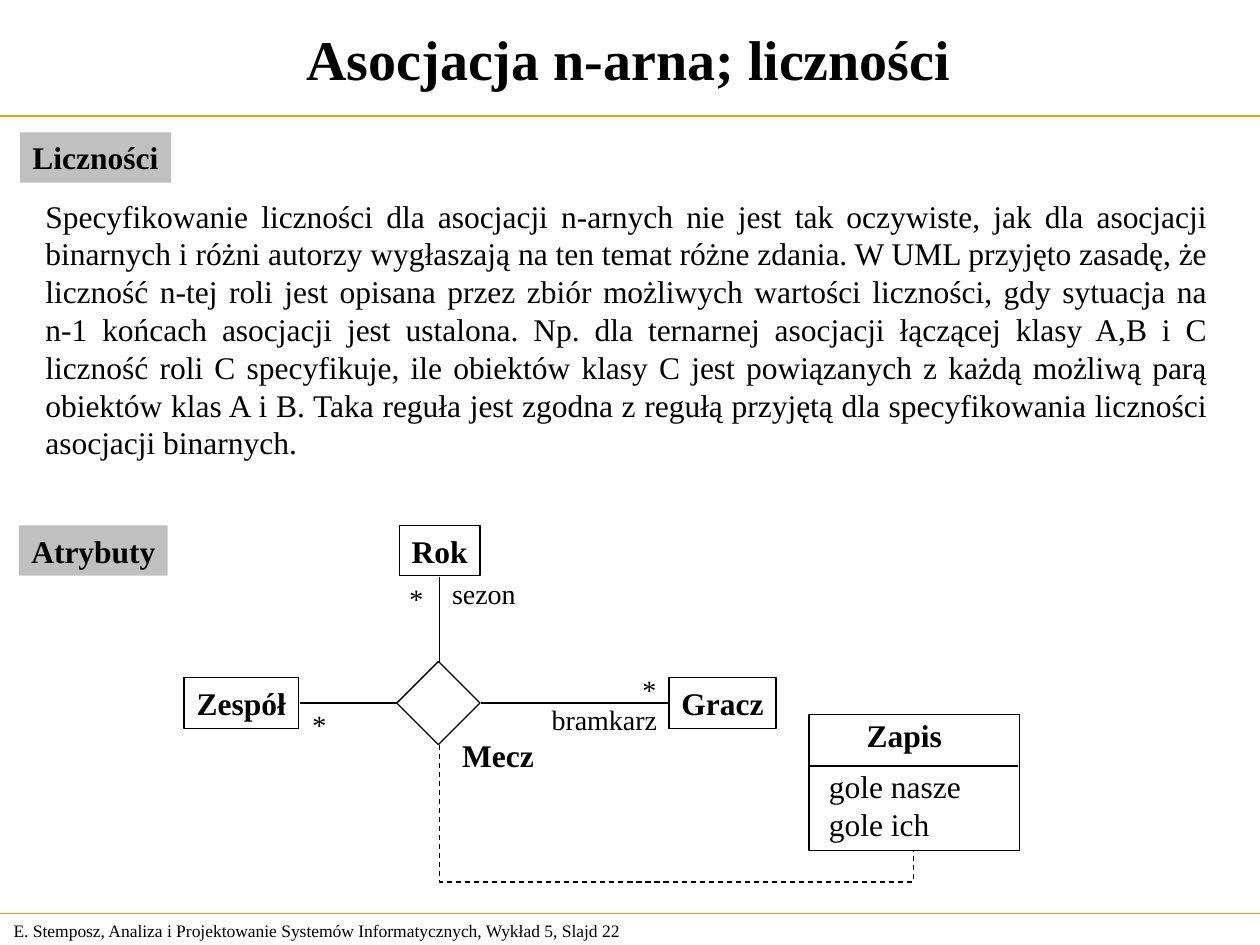
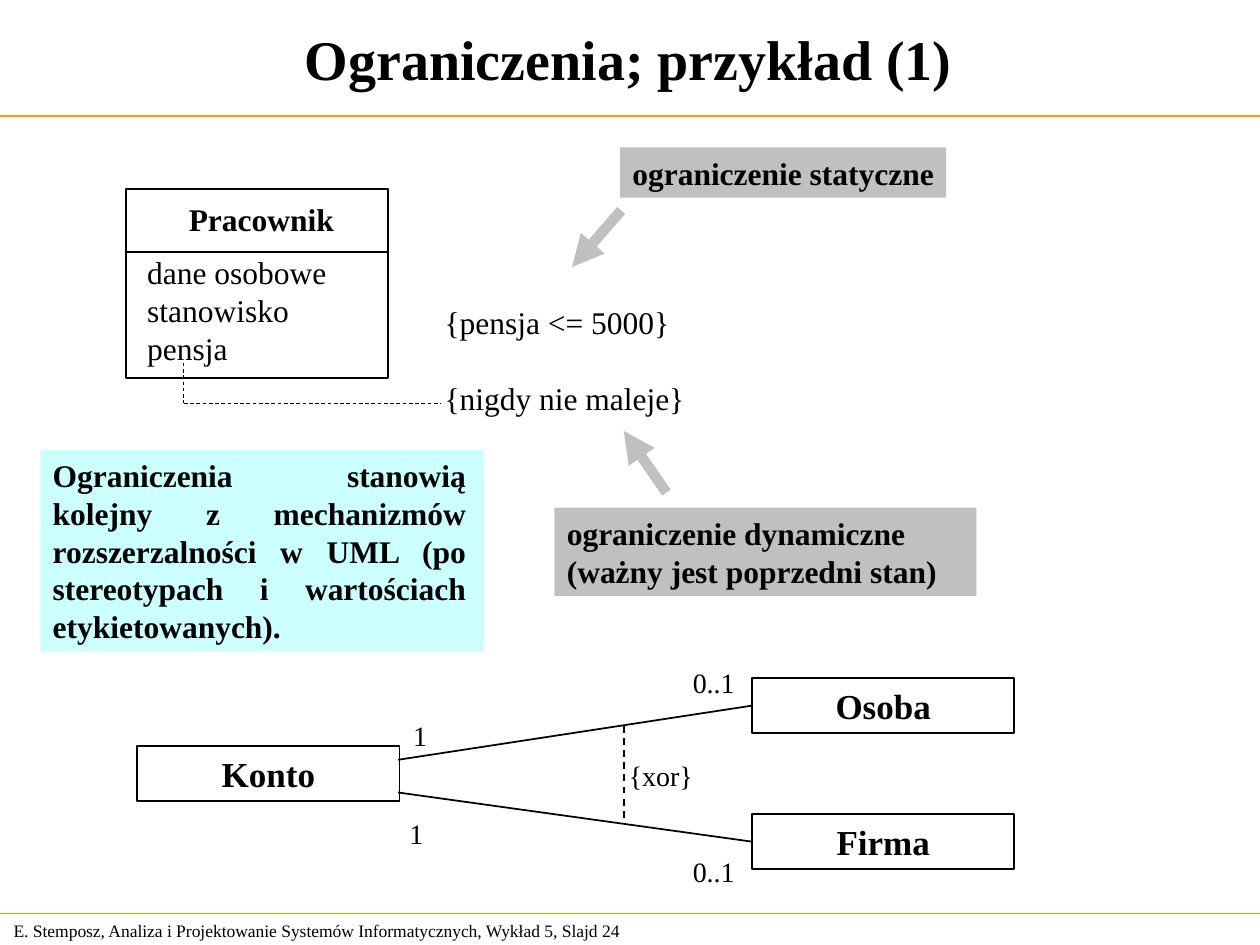
from pptx import Presentation
from pptx.dml.color import RGBColor
from pptx.enum.dml import MSO_LINE
from pptx.enum.shapes import MSO_CONNECTOR, MSO_SHAPE
from pptx.enum.text import MSO_ANCHOR, MSO_AUTO_SIZE, PP_ALIGN
from pptx.oxml.ns import qn
from pptx.util import Inches, Pt
from lxml.etree import SubElement

BLACK = RGBColor(0x00, 0x00, 0x00)
ORANGE = RGBColor(0xFF, 0x99, 0x00)
GRAY = RGBColor(0xC0, 0xC0, 0xC0)
CYAN = RGBColor(0xCC, 0xFF, 0xFF)
FONT = "Times New Roman"
FOOTER = "E. Stemposz, Analiza i Projektowanie Systemów Informatycznych, Wykład 5, Slajd {}"
TITLE_ONLY, TITLE_AND_BODY = 5, 1


def write(sp, text, size=18, bold=False, align=PP_ALIGN.LEFT, anchor=MSO_ANCHOR.TOP,
          left=0.1, right=0, gap=0):
    tf = sp.text_frame
    tf.word_wrap = True
    tf.auto_size = MSO_AUTO_SIZE.NONE
    tf.vertical_anchor = anchor
    tf.margin_left, tf.margin_right = Inches(left), Inches(right)
    tf.margin_top = tf.margin_bottom = Inches(0.05)
    for i, line in enumerate(text.split("\n")):
        p = tf.add_paragraph() if i else tf.paragraphs[0]
        p.alignment = align
        p.space_before = Pt(gap if i else 0)
        r = p.add_run()
        r.text = line
        r.font.name, r.font.size, r.font.bold = FONT, Pt(size), bold
        r.font.color.rgb = BLACK


class Deck:
    """Lecture slides with UML diagrams in one shared style."""

    def __init__(self):
        self.prs = Presentation()
        self.prs.slide_width, self.prs.slide_height = Inches(10), Inches(7.5)
        self.s = None

    def slide(self, title, number, layout=TITLE_ONLY):
        self.s = self.prs.slides.add_slide(self.prs.slide_layouts[layout])
        for y in (0.92, 7.25):
            self.line(0, y, 10, y, color=ORANGE)
        self.text(FOOTER.format(number), 0.01, 7.25, 5.24, 0.27, size=10,
                  anchor=MSO_ANCHOR.MIDDLE)
        self.placeholder(self.s.shapes.title, title, 0, 0, 9.98, 0.92, size=32, bold=True,
                         align=PP_ALIGN.CENTER, anchor=MSO_ANCHOR.MIDDLE, right=0.1)

    def placeholder(self, sp, text, x, y, w, h, **fmt):
        sp.left, sp.top, sp.width, sp.height = map(Inches, (x, y, w, h))
        write(sp, text, **fmt)

    def body(self, text, x, y, w, h, **fmt):
        sp = self.s.placeholders[1]
        self.placeholder(sp, text, x, y, w, h, **fmt)
        for p in sp.text_frame.paragraphs:
            pPr = p._p.get_or_add_pPr()
            pPr.set("marL", "0")
            pPr.set("indent", "0")
            SubElement(pPr, qn("a:buNone"))

    def text(self, text, x, y, w, h=0.37, **fmt):
        write(self.s.shapes.add_textbox(*map(Inches, (x, y, w, h))), text, **fmt)

    def shape(self, x, y, w, h, text="", kind=MSO_SHAPE.RECTANGLE, fill=None, weight=0.75, **fmt):
        sp = self.s.shapes.add_shape(kind, *map(Inches, (x, y, w, h)))
        sp.shadow.inherit = False
        if fill is None:
            sp.fill.background()
            sp.line.color.rgb, sp.line.width = BLACK, Pt(weight)
        else:
            sp.fill.solid()
            sp.fill.fore_color.rgb = fill
            sp.line.fill.background()
        if text:
            write(sp, text, bold=True, **fmt)

    def label(self, text, x, y, w, h=0.4, fill=GRAY, **fmt):
        self.shape(x, y, w, h, text, fill=fill, **fmt)

    def class_box(self, text, x, y, w, h=0.4, **fmt):
        self.shape(x, y, w, h, text, align=PP_ALIGN.CENTER, left=0, **fmt)

    def line(self, x1, y1, x2, y2, color=BLACK, weight=0.75, dash=False, arrow=False,
             kind=MSO_CONNECTOR.STRAIGHT):
        cx = self.s.shapes.add_connector(kind, *map(Inches, (x1, y1, x2, y2)))
        cx.line.color.rgb, cx.line.width = color, Pt(weight)
        if dash:
            cx.line.dash_style = MSO_LINE.DASH
        if arrow:
            SubElement(cx.line._get_or_add_ln(), qn("a:tailEnd"), type="triangle")
        SubElement(cx._element.spPr, qn("a:effectLst"))
        return cx

    def u_link(self, x1, y1, x2, y2, bottom):
        mx, my, run, drop = (x1 + x2) / 2, (y1 + y2) / 2, x2 - x1, y2 - y1
        cx = self.line(mx - drop / 2, my - run / 2, mx + drop / 2, my + run / 2,
                       dash=True, kind=MSO_CONNECTOR.ELBOW)
        spPr = cx._element.spPr
        xfrm = spPr.find(qn("a:xfrm"))
        xfrm.set("rot", "16200000")
        xfrm.set("flipH", "1")
        adj = round((bottom - y1) / drop * 100000)
        SubElement(spPr.find(qn("a:prstGeom")).find(qn("a:avLst")), qn("a:gd"),
                   name="adj1", fmla=f"val {adj}")


def multiplicities(deck):
    deck.slide("Asocjacja n-arna; liczności", 22, TITLE_AND_BODY)
    deck.label("Liczności", 0.16, 1.05, 1.2)
    deck.body(
        "Specyfikowanie liczności dla asocjacji n-arnych nie jest tak oczywiste, jak dla "
        "asocjacji binarnych i różni autorzy wygłaszają na ten temat różne zdania. W UML "
        "przyjęto zasadę, że liczność n-tej roli jest opisana przez zbiór możliwych wartości "
        "liczności, gdy sytuacja na n-1 końcach asocjacji jest ustalona. Np. dla ternarnej "
        "asocjacji łączącej klasy A,B i C liczność roli C specyfikuje, ile obiektów klasy C "
        "jest powiązanych z każdą możliwą parą obiektów klas A i B. Taka reguła jest zgodna "
        "z regułą przyjętą dla specyfikowania liczności asocjacji binarnych.",
        0.26, 1.51, 9.43, 2.2, align=PP_ALIGN.JUSTIFY, right=0.1)
    deck.label("Atrybuty", 0.15, 4.17, 1.18)

    for name, x, y, w in (("Zespół", 1.46, 5.38, 0.91), ("Gracz", 5.31, 5.38, 0.85),
                          ("Rok", 3.17, 4.17, 0.64)):
        deck.class_box(name, x, y, w, anchor=MSO_ANCHOR.MIDDLE)
    deck.shape(3.15, 5.25, 0.66, 0.66, kind=MSO_SHAPE.DIAMOND)
    deck.line(2.38, 5.58, 3.15, 5.58)
    deck.line(3.82, 5.58, 5.3, 5.58)
    deck.line(3.49, 5.25, 3.49, 4.58)

    deck.shape(6.42, 5.67, 1.67, 1.08)
    deck.text("Zapis", 6.78, 5.63, 0.8, 0.4, bold=True)
    deck.text("gole nasze\ngole ich", 6.48, 6.04, 1.25, 0.7)
    deck.line(6.42, 6.08, 8.08, 6.08)
    deck.u_link(3.49, 5.91, 7.25, 6.75, bottom=7)

    for role, x, y, w in (("*", 5, 5.29, 0.31), ("bramkarz", 4.28, 5.53, 1.03),
                          ("sezon", 3.49, 4.53, 0.7), ("*", 3.15, 4.57, 0.31),
                          ("*", 2.38, 5.57, 0.31)):
        deck.text(role, x, y, w, size=16)
    deck.text("Mecz", 3.57, 5.79, 0.77, 0.4, bold=True)


def constraints(deck):
    deck.slide("Ograniczenia; przykład (1)", 24)
    for name, x, y in (("Konto", 1.09, 5.92), ("Firma", 5.97, 6.46), ("Osoba", 5.97, 5.38)):
        deck.class_box(name, x, y, 2.08, 0.44, size=20, weight=1)
    deck.line(3.16, 6.03, 5.97, 5.6, weight=1)
    deck.line(3.16, 6.29, 5.97, 6.68, weight=1)
    deck.line(4.95, 5.76, 4.95, 6.53, weight=1, dash=True)
    deck.text("{xor}", 4.89, 5.97, 0.71, size=16, align=PP_ALIGN.CENTER, left=0)
    for y in (5.23, 6.73):
        deck.text("0..1", 5.4, y, 0.53, size=16)
    for x, y in ((3.18, 5.65), (3.15, 6.43)):
        deck.text("1", x, y, 0.31, size=16, align=PP_ALIGN.CENTER, anchor=MSO_ANCHOR.MIDDLE,
                  left=0)

    deck.shape(1, 1.5, 2.08, 1.5, weight=1)
    deck.text("Pracownik", 1.4, 1.54, 1.35, 0.4, bold=True)
    deck.text("dane osobowe\nstanowisko\npensja", 1.07, 1.96, 1.62, 1)
    deck.line(1, 2, 3.08, 2, weight=1)
    deck.text("{pensja <= 5000}\n{nigdy nie maleje}", 3.43, 2.36, 2.1, 1, gap=21.6)
    deck.line(1.46, 2.88, 1.46, 3.2, weight=0.5, dash=True)
    deck.line(1.46, 3.2, 3.5, 3.2, weight=0.5, dash=True)

    deck.label("ograniczenie dynamiczne\n(ważny jest poprzedni stan)", 4.4, 4.03, 3.35, 0.7)
    deck.label("ograniczenie statyczne", 4.92, 1.17, 2.59)
    deck.line(4.93, 1.67, 4.54, 2.12, color=GRAY, weight=6, arrow=True)
    deck.line(5.29, 3.91, 4.95, 3.42, color=GRAY, weight=6, arrow=True)
    deck.label("Ograniczenia stanowią kolejny z mechanizmów rozszerzalności w UML "
               "(po stereotypach i wartościach etykietowanych).",
               0.32, 3.57, 3.52, 1.6, fill=CYAN, align=PP_ALIGN.JUSTIFY, right=0.14)


def main():
    deck = Deck()
    multiplicities(deck)
    constraints(deck)
    deck.prs.save("out.pptx")


if __name__ == "__main__":
    main()
